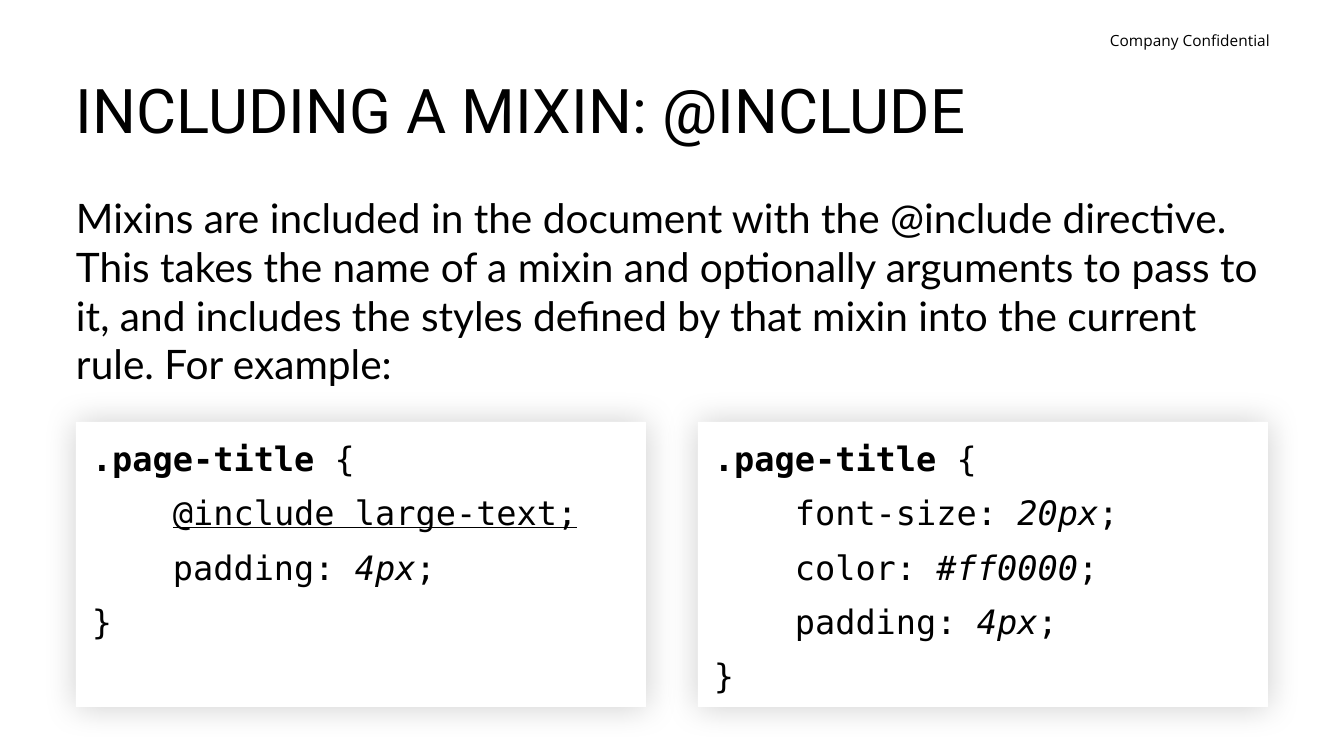
import lxml.etree
import pptx
import pptx.dml.color
import pptx.enum.shapes
import pptx.enum.text
import pptx.oxml.ns
import pptx.util

BLACK, WHITE = "000000", "FFFFFF"
ALIGN = pptx.enum.text.PP_ALIGN
ANCHOR = pptx.enum.text.MSO_ANCHOR
MARGIN, GAP = 76, 52
CARD_W, CARD_H, CARD_TOP = 570, 285, 422

LEFT_CODE = [
    [(".page-title ", "bold"), ("{", "")],
    [("    ", ""), ("@include large-text;", "underline")],
    [("    padding: ", ""), ("4px", "italic"), (";", "")],
    [("}", "")],
]
RIGHT_CODE = [
    [(".page-title ", "bold"), ("{", "")],
    [("    font-size: ", ""), ("20px", "italic"), (";", "")],
    [("    color: ", ""), ("#ff0000", "italic"), (";", "")],
    [("    padding: ", ""), ("4px", "italic"), (";", "")],
    [("}", "")],
]


def px(n):
    """Turn pixels into EMU."""
    return pptx.util.Emu(round(n * 914400 / 100.8))


def color(code):
    """Turn a hex string into a colour."""
    return pptx.dml.color.RGBColor.from_string(code)


def style(para, face, size):
    """Set the font of a whole paragraph."""
    para.font.name = face
    para.font.size = pptx.util.Pt(size)
    para.font.color.rgb = color(BLACK)


def inset(frame, left, top, right, low):
    """Set the inner margins of a text frame."""
    frame.margin_left, frame.margin_top = px(left), px(top)
    frame.margin_right, frame.margin_bottom = px(right), px(low)


def label(slide, box, text, face, size, left=0, align=ALIGN.LEFT, anchor=ANCHOR.TOP):
    """Add a text box with one paragraph and return the paragraph."""
    frame = slide.shapes.add_textbox(*map(px, box)).text_frame
    frame.word_wrap = True
    frame.vertical_anchor = anchor
    inset(frame, left, 5, 10, 5)
    para = frame.paragraphs[0]
    para.text = text
    para.alignment = align
    style(para, face, size)
    return para


def glow(shape):
    """Give a shape a soft shadow on all sides."""
    tag = pptx.oxml.ns.qn
    shape.shadow.inherit = False
    effects = shape._element.spPr.find(tag("a:effectLst"))
    outer = lxml.etree.SubElement(
        effects, tag("a:outerShdw"), blurRad=str(pptx.util.Pt(24)), dist="0", dir="0",
        algn="ctr", rotWithShape="0")
    tint = lxml.etree.SubElement(outer, tag("a:srgbClr"), val=BLACK)
    lxml.etree.SubElement(tint, tag("a:alpha"), val="20000")


def card(slide, left, lines):
    """Add a white card with lines of code."""
    rect = pptx.enum.shapes.MSO_SHAPE.RECTANGLE
    shape = slide.shapes.add_shape(rect, *map(px, (left, CARD_TOP, CARD_W, CARD_H)))
    shape.fill.solid()
    shape.fill.fore_color.rgb = color(WHITE)
    shape.line.fill.background()
    glow(shape)
    frame = shape.text_frame
    frame.word_wrap = True
    frame.vertical_anchor = ANCHOR.TOP
    inset(frame, 16, 16, 16, 16)
    for i, line in enumerate(lines):
        para = frame.add_paragraph() if i else frame.paragraphs[0]
        para.alignment = ALIGN.LEFT
        para.space_before = pptx.util.Pt(10 if i else 0)
        style(para, "DejaVu Sans Mono", 24)
        for text, mark in line:
            run = para.add_run()
            run.text = text
            if mark:
                setattr(run.font, mark, True)


def main():
    """Build the slide and save it."""
    deck = pptx.Presentation()
    deck.slide_width, deck.slide_height = px(1344), px(756)
    slide = deck.slides.add_slide(deck.slide_layouts[6])
    label(slide, (1046, 26, 234, 29), "Company Confidential", "Open Sans", 11,
          left=10, align=ALIGN.RIGHT)
    title = label(slide, (MARGIN, 76, 1192, 76), "INCLUDING A MIXIN: @INCLUDE",
                  "Roboto", 44, anchor=ANCHOR.MIDDLE)
    title.line_spacing = 0.9
    label(slide, (MARGIN, 188, 1194, 207),
          "Mixins are included in the document with the @include directive. "
          "This takes the name of a mixin and optionally arguments to pass to it, "
          "and includes the styles defined by that mixin into the current rule. "
          "For example:", "Lato", 29)
    for i, lines in enumerate((LEFT_CODE, RIGHT_CODE)):
        card(slide, MARGIN + i * (CARD_W + GAP), lines)
    deck.save("out.pptx")


if __name__ == "__main__":
    main()
